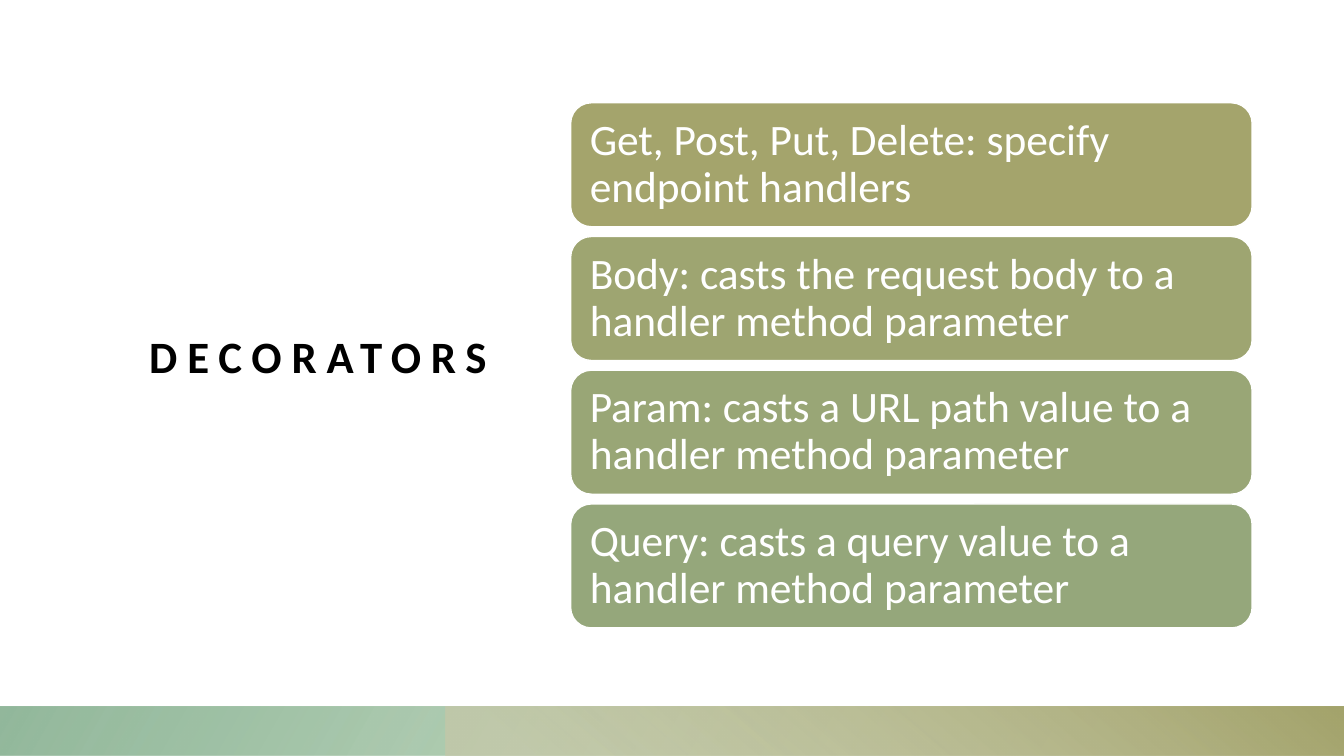
import pptx
import pptx.util
import pptx.dml.color
import pptx.enum.shapes
import pptx.enum.text
from lxml import etree
from pptx.oxml.ns import qn

Inches = pptx.util.Inches
Pt = pptx.util.Pt
RGBColor = pptx.dml.color.RGBColor
Shapes = pptx.enum.shapes.MSO_SHAPE

SLIDE_WIDTH, SLIDE_HEIGHT = 13.33, 7.5
FONT = "Calibri"
BLACK = RGBColor(0x00, 0x00, 0x00)
WHITE = RGBColor(0xFF, 0xFF, 0xFF)
LEAF = RGBColor(0x7B, 0xAC, 0x72)
SAGE = RGBColor(0x7F, 0xAC, 0x8B)
SAND = RGBColor(0xC8, 0xC8, 0xA7)
OLIVE = RGBColor(0xA4, 0xA4, 0x6C)

# Card column: four equal rows between top and bottom
CARD_LEFT, CARD_WIDTH, CARD_HEIGHT = 5.66, 6.76, 1.23
CARDS_TOP, CARDS_BOTTOM = 1.02, 6.23
CARDS = [
    ("Get, Post, Put, Delete: specify endpoint handlers", OLIVE),
    ("Body: casts the request body to a handler method parameter",
     RGBColor(0x9E, 0xA5, 0x71)),
    ("Param: casts a URL path value to a handler method parameter",
     RGBColor(0x99, 0xA6, 0x76)),
    ("Query: casts a query value to a handler method parameter",
     RGBColor(0x95, 0xA7, 0x7B)),
]

BAND_HEIGHT = 0.49


def set_margins(text_frame, margin):
    text_frame.margin_left = text_frame.margin_right = Inches(margin)
    text_frame.margin_top = text_frame.margin_bottom = Inches(margin)


def format_text(text_frame, size, color, margin, bold=False):
    """Left-aligned, vertically centred, wrapped text."""
    text_frame.word_wrap = True
    text_frame.auto_size = pptx.enum.text.MSO_AUTO_SIZE.NONE
    text_frame.vertical_anchor = pptx.enum.text.MSO_ANCHOR.MIDDLE
    set_margins(text_frame, margin)
    paragraph = text_frame.paragraphs[0]
    paragraph.alignment = pptx.enum.text.PP_ALIGN.LEFT
    paragraph.line_spacing = 0.9
    paragraph.font.name = FONT
    paragraph.font.size = Pt(size)
    paragraph.font.bold = bold
    paragraph.font.color.rgb = color


def add_title(slide, text):
    title = slide.shapes.title
    title.left, title.top = Inches(1.48), Inches(1.12)
    title.width, title.height = Inches(3.64), Inches(4.89)
    title.text_frame.text = text
    format_text(title.text_frame, 32, BLACK, 0, bold=True)
    # Letter spacing in hundredths of a point
    run = title.text_frame.paragraphs[0].runs[0]
    run.font._element.set("spc", "700")


def add_band(slide, left, angle, stops):
    """Gradient strip from left to the slide's right edge, along the bottom."""
    band = slide.shapes.add_shape(
        Shapes.RECTANGLE, Inches(left), Inches(SLIDE_HEIGHT - BAND_HEIGHT),
        Inches(SLIDE_WIDTH - left), Inches(BAND_HEIGHT))
    band.shadow.inherit = False
    band.line.fill.background()
    band.fill.gradient()
    band.fill.gradient_angle = angle
    for stop, (position, color, opacity) in zip(band.fill.gradient_stops, stops):
        stop.position = position
        stop.color.rgb = color
    # Opacity of each stop
    colors = band._element.spPr.iter(qn("a:srgbClr"))
    for color_element, (_, _, opacity) in zip(colors, stops):
        alpha = etree.SubElement(color_element, qn("a:alpha"))
        alpha.set("val", str(opacity * 1000))


def add_card(slide, top, text, color):
    card = slide.shapes.add_shape(
        Shapes.ROUNDED_RECTANGLE, Inches(CARD_LEFT), Inches(top),
        Inches(CARD_WIDTH), Inches(CARD_HEIGHT))
    card.shadow.inherit = False
    card.fill.solid()
    card.fill.fore_color.rgb = color
    card.line.color.rgb = WHITE
    card.line.width = Pt(1)
    card.text_frame.text = text
    # The rounded corners add 0.06 to the inset on each side
    format_text(card.text_frame, 31, WHITE, 0.13)


def main():
    presentation = pptx.Presentation()
    presentation.slide_width = Inches(SLIDE_WIDTH)
    presentation.slide_height = Inches(SLIDE_HEIGHT)
    slide = presentation.slides.add_slide(presentation.slide_layouts[5])
    slide.background.fill.solid()
    slide.background.fill.fore_color.rgb = WHITE

    add_title(slide, "DECORATORS")

    # Bottom bands: green across, olive over the right two thirds
    add_band(slide, 0, 150, [(0.14, LEAF, 28), (1, SAGE, 85)])
    add_band(slide, 4.42, 50, [(0.09, SAND, 68), (0.99, OLIVE, 100)])

    # Decorator cards
    pitch = (CARDS_BOTTOM - CARDS_TOP - CARD_HEIGHT) / (len(CARDS) - 1)
    for row, (text, color) in enumerate(CARDS):
        add_card(slide, CARDS_TOP + row * pitch, text, color)

    presentation.save("out.pptx")


if __name__ == "__main__":
    main()
